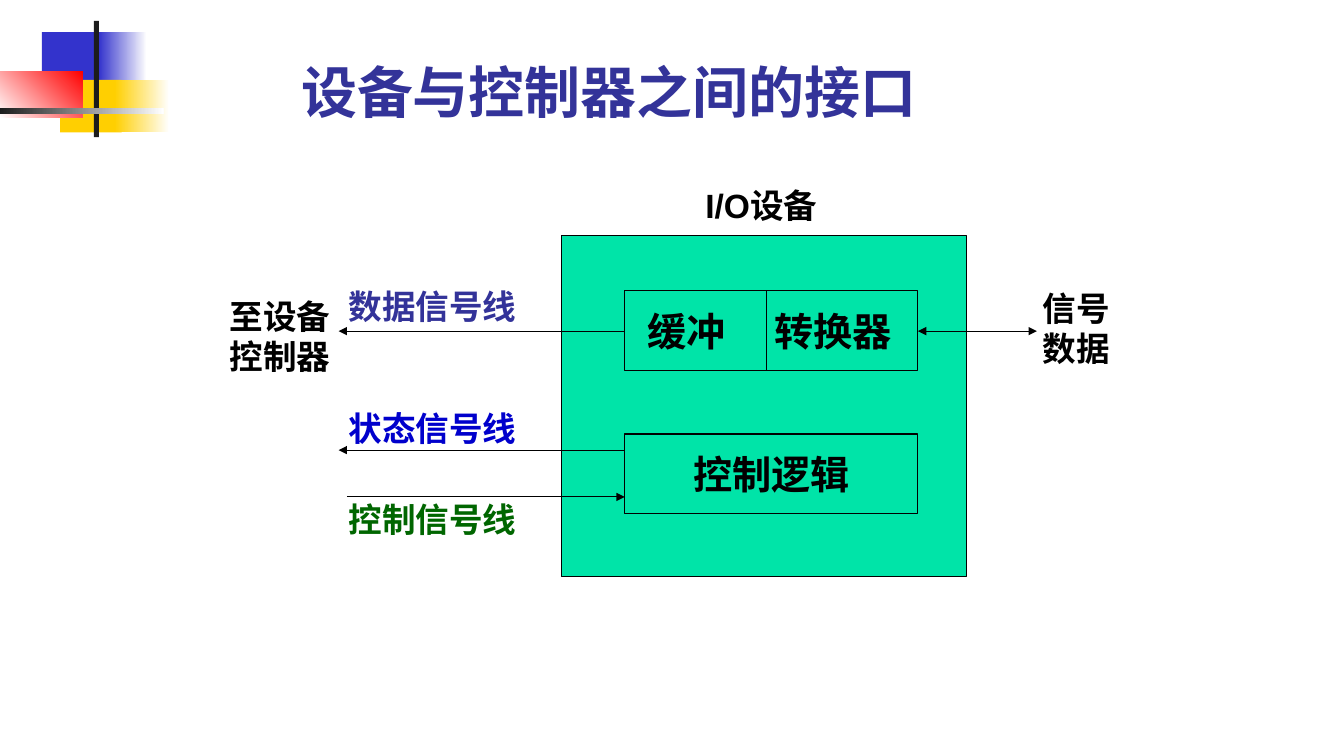
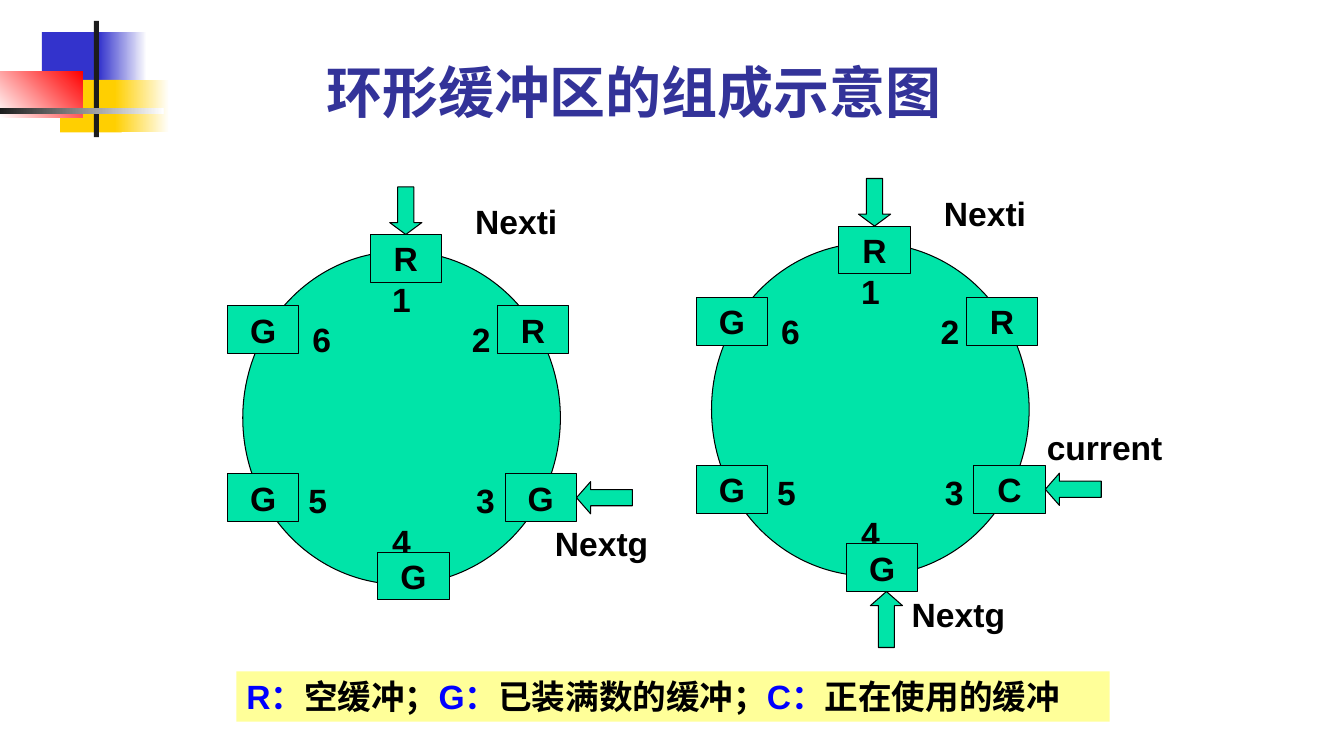
from lxml.etree import SubElement as Sub
from pptx import Presentation
from pptx.dml.color import RGBColor as RGB
from pptx.enum.shapes import MSO_CONNECTOR as Wire, MSO_SHAPE as Shape
from pptx.enum.text import MSO_ANCHOR as Anchor, PP_ALIGN as Align
from pptx.oxml.ns import qn
from pptx.util import Pt

BLACK = RGB(0x00, 0x00, 0x00)
WHITE = RGB(0xFF, 0xFF, 0xFF)
NAVY = RGB(0x33, 0x33, 0x99)
BLUE = RGB(0x33, 0x33, 0xCC)
DEEP = RGB(0x00, 0x00, 0xCC)
KEY = RGB(0x00, 0x00, 0xFF)
FOREST = RGB(0x00, 0x66, 0x00)
MINT = RGB(0x00, 0xE4, 0xA8)
GOLD = RGB(0xFF, 0xCF, 0x01)
RED = RGB(0xFF, 0x00, 0x00)
COAL = RGB(0x1C, 0x1C, 0x1C)
CREAM = RGB(0xFF, 0xFF, 0x99)

THIN = 0.74
CELL_W, CELL_H = 51, 34
RING_W, RING_H = 227, 238

# left, top, width, height, first colour, last colour, angle
DECOR = [
    (30, 23, 46, 37.5, BLUE, None, 0),
    (70.5, 23, 34.5, 37.5, BLUE, WHITE, 0),
    (43, 57, 44, 37.5, GOLD, None, 0),
    (82, 57, 39, 37.5, GOLD, WHITE, 0),
    (0, 51, 59, 33, WHITE, RED, 45),
    (67, 15, 3.6, 83, COAL, None, 0),
    (0, 77, 117, 4.3, COAL, WHITE, 0),
]

# offsets from the ring's centre: cell x, cell y, number x, number y
SLOTS = [
    (3, -114, 0, -84.5),
    (94, -63, 57, -56),
    (99.5, 57, 60, 59),
    (8.5, 113, 0, 88),
    (-99, 57, -60, 59),
    (-99, -63, -57, -56),
]


def style(para, size, color=BLACK, align=Align.LEFT, face="Arial"):
    """Set the bold font and alignment of a paragraph."""
    para.alignment = align
    font = para.font
    font.name, font.size, font.bold = face, Pt(size), True
    font.color.rgb = color


def block(slide, kind, left, top, width, height, fill=MINT, line=BLACK):
    """Add a flat preset shape; line may be None."""
    shape = slide.shapes.add_shape(kind, Pt(left), Pt(top), Pt(width), Pt(height))
    shape.shadow.inherit = False
    shape.fill.solid()
    shape.fill.fore_color.rgb = fill
    if line is None:
        shape.line.fill.background()
    else:
        shape.line.color.rgb = line
        shape.line.width = Pt(THIN)
    return shape


def cell(slide, left, top, width, height, text, size):
    """Add a mint rectangle with centred text."""
    shape = block(slide, Shape.RECTANGLE, left, top, width, height)
    frame = shape.text_frame
    frame.word_wrap = False
    frame.vertical_anchor = Anchor.MIDDLE
    frame.text = text
    style(frame.paragraphs[0], size, align=Align.CENTER)
    return shape


def label(slide, left, top, width, text, color=BLACK, align=Align.LEFT):
    """Add a wrapping 24-point text box."""
    box = slide.shapes.add_textbox(Pt(left), Pt(top), Pt(width), Pt(36))
    box.text_frame.word_wrap = True
    box.text_frame.text = text
    style(box.text_frame.paragraphs[0], 24, color, align)


def wire(slide, start, end, y, *ends):
    """Add a level line with arrowheads at the named ends."""
    link = slide.shapes.add_connector(
        Wire.STRAIGHT, Pt(start), Pt(y), Pt(end), Pt(y))
    link.line.color.rgb = BLACK
    link.line.width = Pt(THIN)
    pen = link.line._get_or_add_ln()
    for tip in ends:
        Sub(pen, qn("a:" + tip), type="triangle")
    Sub(link._element.spPr, qn("a:effectLst"))


def decor(slide, layout):
    """Give the layout its corner blocks, behind its title."""
    for mark in list(layout.placeholders):
        if mark.placeholder_format.idx >= 10:
            mark.element.getparent().remove(mark.element)
    tree = layout.shapes.element
    for spot, (*box, first, last, angle) in enumerate(DECOR, 2):
        shape = block(slide, Shape.RECTANGLE, *box, fill=first, line=None)
        if last is not None:
            shape.fill.gradient()
            shape.fill.gradient_angle = angle
            for stop, color in zip(shape.fill.gradient_stops, (first, last)):
                stop.color.rgb = color
        tree.insert(spot, shape.element)


def title(slide, left, text):
    """Place and fill the slide's title."""
    head = slide.shapes.title
    head.left, head.top, head.width, head.height = Pt(left), Pt(37.5), Pt(613), Pt(55.5)
    head.text_frame.text = text
    head.text_frame.vertical_anchor = Anchor.BOTTOM
    style(head.text_frame.paragraphs[0], 40, NAVY, face="Roboto")


def device(slide, left, top):
    """Draw the I/O device with its inner cells, wires and labels."""
    block(slide, Shape.RECTANGLE, left, top, 289.5, 244)
    near, far = left + 45.5, left + 255
    split = left + 147
    data, logic = top + 39.5, top + 142
    for start, end, text in ((near, split, "缓冲"), (split, far, "转换器")):
        part = cell(slide, start, data, end - start, 57, text, 28)
        part.text_frame.margin_right = Pt(20)
    cell(slide, near, logic, far - near, 57, "控制逻辑", 28)

    tip = left - 159
    wire(slide, near, tip, top + 68.5, "tailEnd")
    wire(slide, near, tip, top + 153.5, "tailEnd")
    wire(slide, tip + 6, near, top + 187, "tailEnd")
    wire(slide, far, left + 340, top + 68.5, "headEnd", "tailEnd")

    for dx, dy, width, text, color in (
            (-159, 32.5, 153, "数据信号线", NAVY),
            (-159, 119.5, 153, "状态信号线", DEEP),
            (-159, 185, 153, "控制信号线", FOREST),
            (-244, 39.5, 102, "至设备控制器", BLACK),
            (337, 34, 82, "信号数据", BLACK),
            (96, -39.5, 153, "I/O设备", BLACK)):
        label(slide, left + dx, top + dy, width, text, color)


def arrow(slide, kind, left, top, width, height, head):
    """Add a block arrow with the given head length."""
    shape = block(slide, kind, left, top, width, height)
    shape.adjustments[1] = head


def ring(slide, left, top, states, notes):
    """Draw a ring of six cells with Nexti's arrow, G's arrow and notes."""
    block(slide, Shape.OVAL, left, top, RING_W, RING_H)
    mid_x, mid_y = left + RING_W / 2, top + RING_H / 2
    for num, (state, slot) in enumerate(zip(states, SLOTS), 1):
        dx, dy, num_x, num_y = slot
        label(slide, mid_x + num_x - 15, mid_y + num_y - 18, 30, str(num),
              align=Align.CENTER)
        cell(slide, mid_x + dx - CELL_W / 2, mid_y + dy - CELL_H / 2,
             CELL_W, CELL_H, state, 24)

    dx, dy = SLOTS[0][:2]
    arrow(slide, Shape.DOWN_ARROW, mid_x + dx - 11.5,
          mid_y + dy - CELL_H / 2 - 34, 23, 34, 0.37)
    dx, dy = SLOTS[2][:2]
    arrow(slide, Shape.LEFT_ARROW, mid_x + dx + CELL_W / 2,
          mid_y + dy - 11.5, 40, 23, 0.44)
    if "C" in states:
        dx, dy = SLOTS[3][:2]
        arrow(slide, Shape.UP_ARROW, mid_x + dx - 8.5,
              mid_y + dy + CELL_H / 2, 23, 40, 0.44)
    for dx, dy, width, text in notes:
        label(slide, mid_x + dx, mid_y + dy, width, text)


def legend(slide, left, top, width):
    """Add the key to the cell letters."""
    bar = block(slide, Shape.RECTANGLE, left, top, width, 36, CREAM, None)
    bar.text_frame.word_wrap = False
    para = bar.text_frame.paragraphs[0]
    style(para, 24)
    for sign, text in (("R：", "空缓冲；"), ("G：", "已装满数的缓冲；"),
                       ("C：", "正在使用的缓冲")):
        for part, color in ((sign, KEY), (text, BLACK)):
            run = para.add_run()
            run.text = part
            run.font.color.rgb = color


def main():
    """Build and save both slides."""
    deck = Presentation()
    deck.slide_width, deck.slide_height = Pt(960.5), Pt(540)
    layout = deck.slide_layouts[5]

    port = deck.slides.add_slide(layout)
    decor(port, layout)
    title(port, 208, "设备与控制器之间的接口")
    device(port, 401, 168)

    loop = deck.slides.add_slide(layout)
    title(loop, 226, "环形缓冲区的组成示意图")
    nexti = (45.5, -158.5, 79, "Nexti")
    ring(loop, 173.5, 179.5, "RRGGGG", [nexti, (102.5, 71.5, 102, "Nextg")])
    ring(loop, 508.5, 173.5, "RRCGGG",
         [nexti, (22.5, 128.5, 91, "Nextg"), (119, 9, 113, "current")])
    legend(loop, 169, 479.5, 624)
    deck.save("out.pptx")


main()
